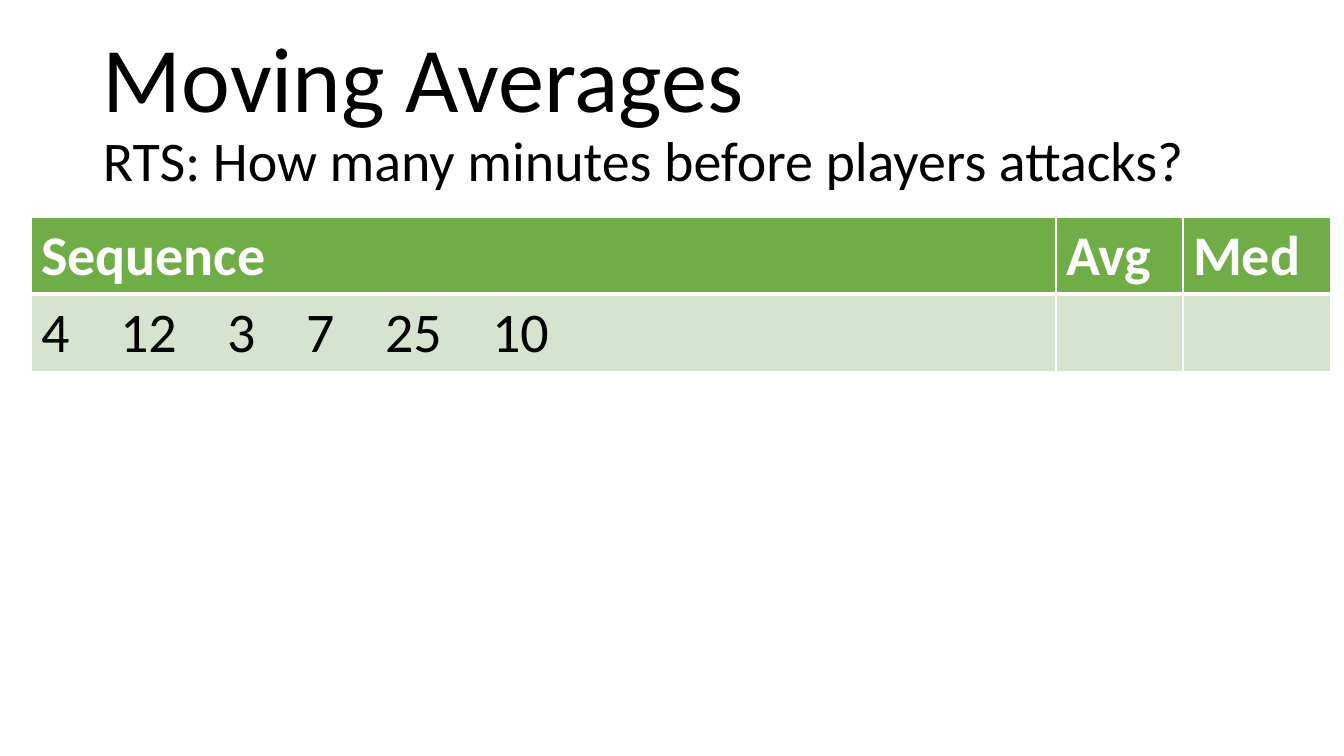
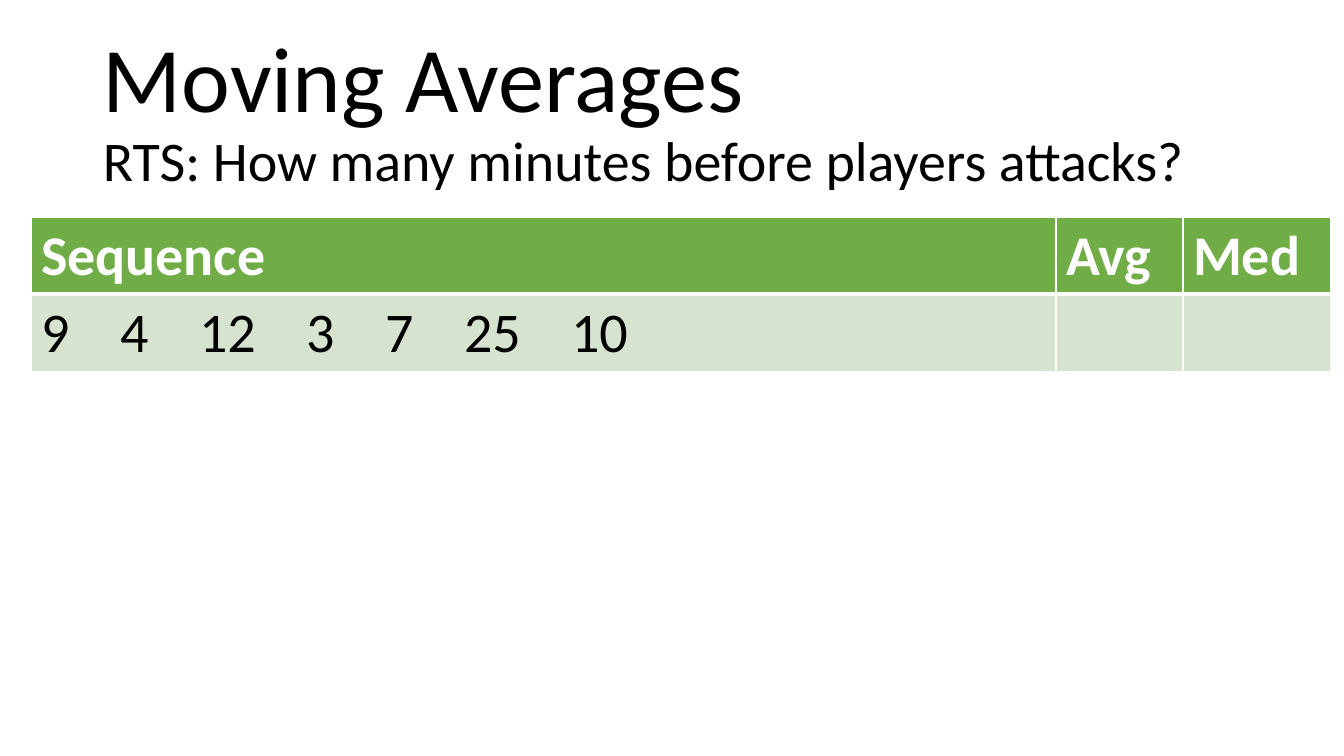
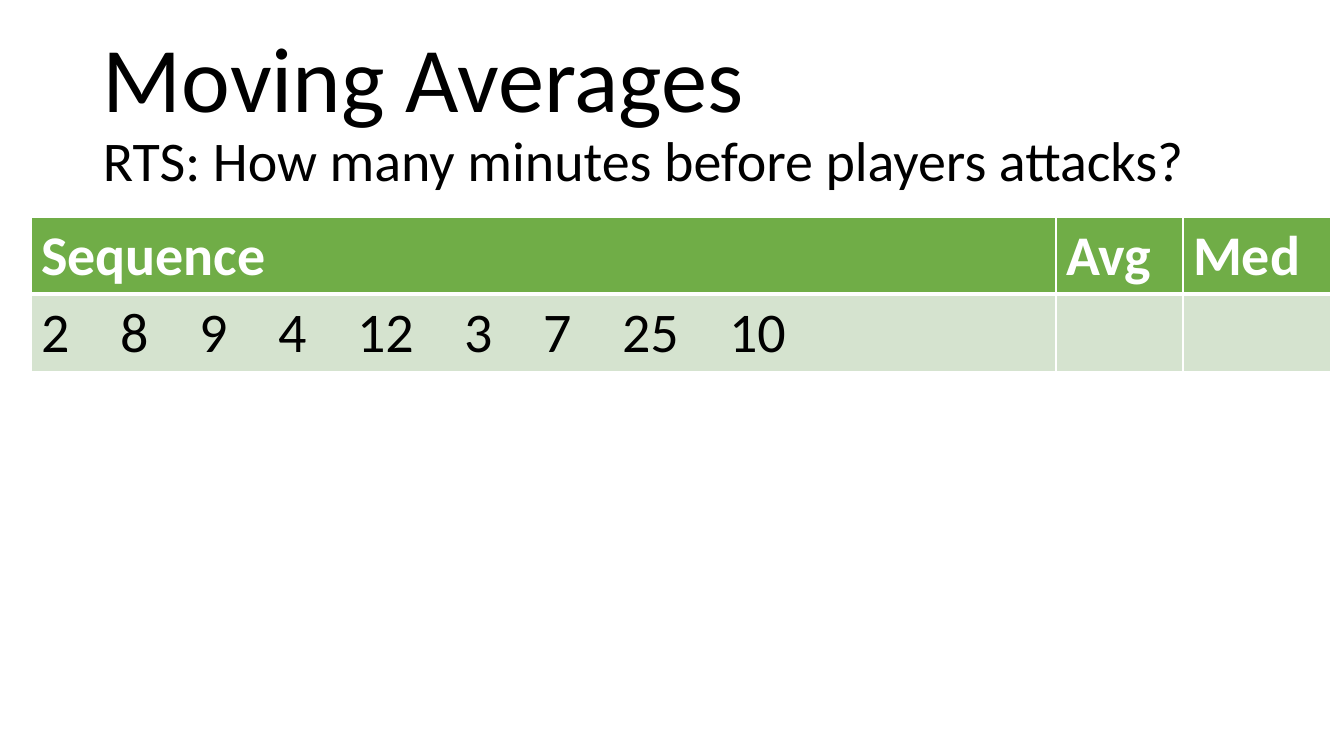
from pptx import Presentation
from pptx.dml.color import RGBColor
from pptx.enum.text import MSO_ANCHOR
from pptx.oxml import parse_xml
from pptx.oxml.ns import nsdecls
from pptx.util import Emu, Pt

MIDDLE = MSO_ANCHOR.MIDDLE
EMU_PER_PX = 914400 / 100.8
EMU_PER_PT = 12700

FONT = "Calibri"
BLACK = "000000"
WHITE = "FFFFFF"
HEADER_GREEN = "70AD47"
ROW_GREEN = "D5E3CF"

TITLE = "Moving Averages"
QUESTION = "RTS: How many minutes before players attacks?"
HEADERS = ["Sequence", "Avg", "Med"]
COLUMN_WIDTHS = [1025, 127, 148]
ROW_HEIGHT = 77
BODY_SIZE = 40
DIGIT_WIDTH = 28
NUMBER_GAP = 51

SEQUENCES = [
    [4, 12, 3, 7, 25, 10],
    [9, 4, 12, 3, 7, 25, 10],
    [2, 8, 9, 4, 12, 3, 7, 25, 10],
]


def px(length):
    return Emu(round(length * EMU_PER_PX))


def rgb(color):
    return RGBColor.from_string(color)


def write_text(paragraph, text, size=BODY_SIZE, color=BLACK, bold=False):
    run = paragraph.add_run()
    run.text = text
    run.font.name = FONT
    run.font.size = Pt(size)
    run.font.bold = bold
    run.font.color.rgb = rgb(color)


def add_title(slide):
    frame = slide.shapes.add_textbox(px(93), px(40), px(1159), px(146)).text_frame
    frame.word_wrap = True
    frame.vertical_anchor = MIDDLE
    paragraph = frame.paragraphs[0]
    paragraph.line_spacing = 0.9
    write_text(paragraph, TITLE, size=66)
    paragraph.add_line_break()
    write_text(paragraph, QUESTION)


def style_cell(cell, fill, top=1, bottom=1):
    """Fill a cell and give it white borders; top and bottom are widths in points."""
    cell.fill.solid()
    cell.fill.fore_color.rgb = rgb(fill)
    properties = cell._tc.get_or_add_tcPr()
    borders = {"lnL": 1, "lnR": 1, "lnT": top, "lnB": bottom}
    for position, (side, width) in enumerate(borders.items()):
        properties.insert(position, parse_xml(
            f'<a:{side} {nsdecls("a")} w="{width * EMU_PER_PT}"><a:solidFill>'
            f'<a:srgbClr val="{WHITE}"/></a:solidFill></a:{side}>'))


def write_sequence(paragraph, numbers):
    """Write numbers with an equal gap between them, using one tab stop for each."""
    stops = parse_xml(f'<a:tabLst {nsdecls("a")}/>')
    position = 0
    for number in numbers[:-1]:
        position += len(str(number)) * DIGIT_WIDTH + NUMBER_GAP
        stops.append(parse_xml(
            f'<a:tab {nsdecls("a")} pos="{px(position)}" algn="l"/>'))
    paragraph._p.get_or_add_pPr().append(stops)
    write_text(paragraph, "\t".join(map(str, numbers)))


def add_sequence_table(slide, numbers):
    table = slide.shapes.add_table(
        2, len(HEADERS), px(31), px(217),
        px(sum(COLUMN_WIDTHS)), px(2 * ROW_HEIGHT)).table
    for row in table.rows:
        row.height = px(ROW_HEIGHT)
    for index, (header, width) in enumerate(zip(HEADERS, COLUMN_WIDTHS)):
        table.columns[index].width = px(width)
        header_cell = table.cell(0, index)
        style_cell(header_cell, HEADER_GREEN, bottom=3)
        write_text(header_cell.text_frame.paragraphs[0], header,
                   color=WHITE, bold=True)
        style_cell(table.cell(1, index), ROW_GREEN, top=3)
    write_sequence(table.cell(1, 0).text_frame.paragraphs[0], numbers)


def main():
    presentation = Presentation()
    presentation.slide_width = px(1344)
    presentation.slide_height = px(756)
    blank_layout = presentation.slide_layouts[6]
    for numbers in SEQUENCES:
        slide = presentation.slides.add_slide(blank_layout)
        add_title(slide)
        add_sequence_table(slide, numbers)
    presentation.save("out.pptx")


if __name__ == "__main__":
    main()
